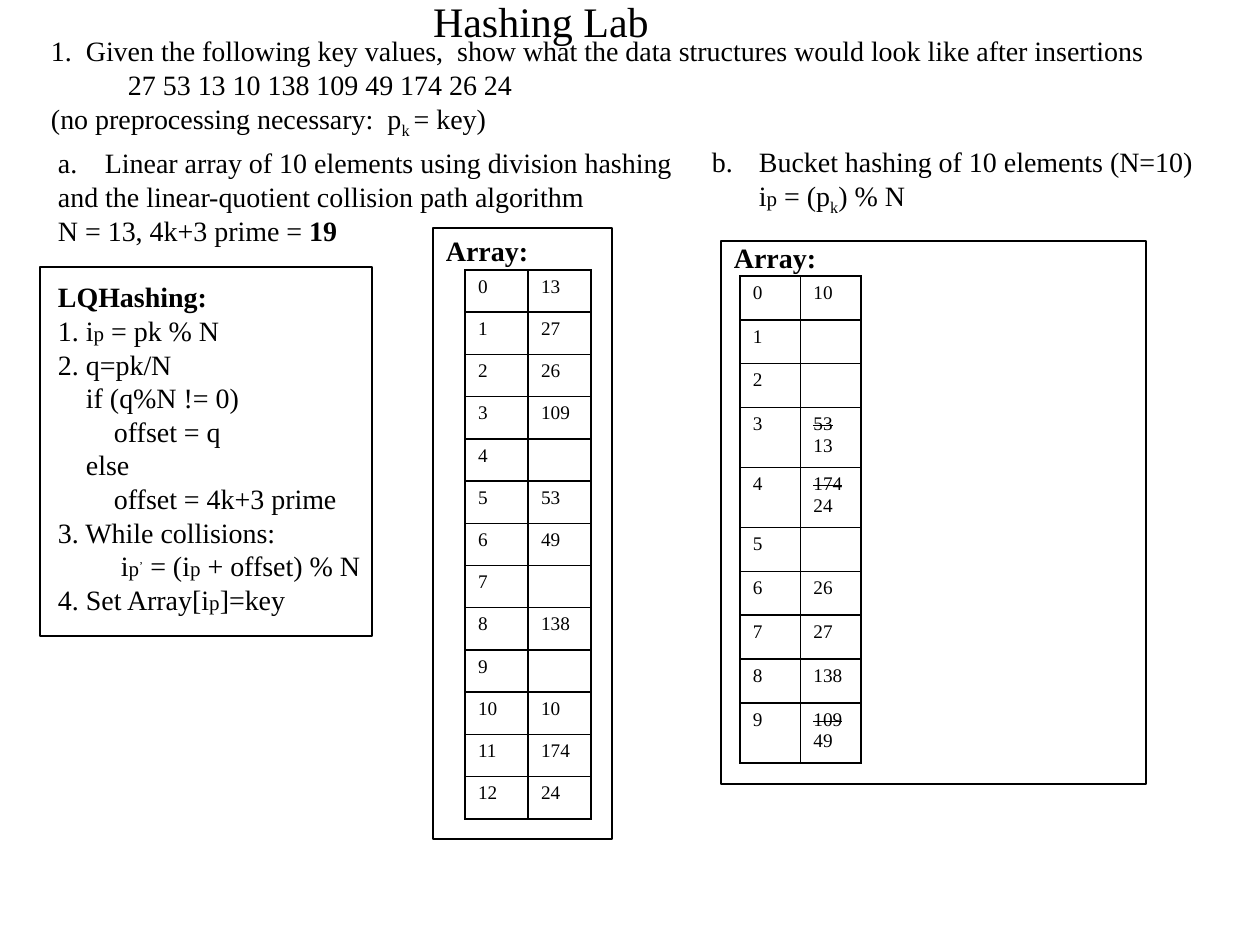
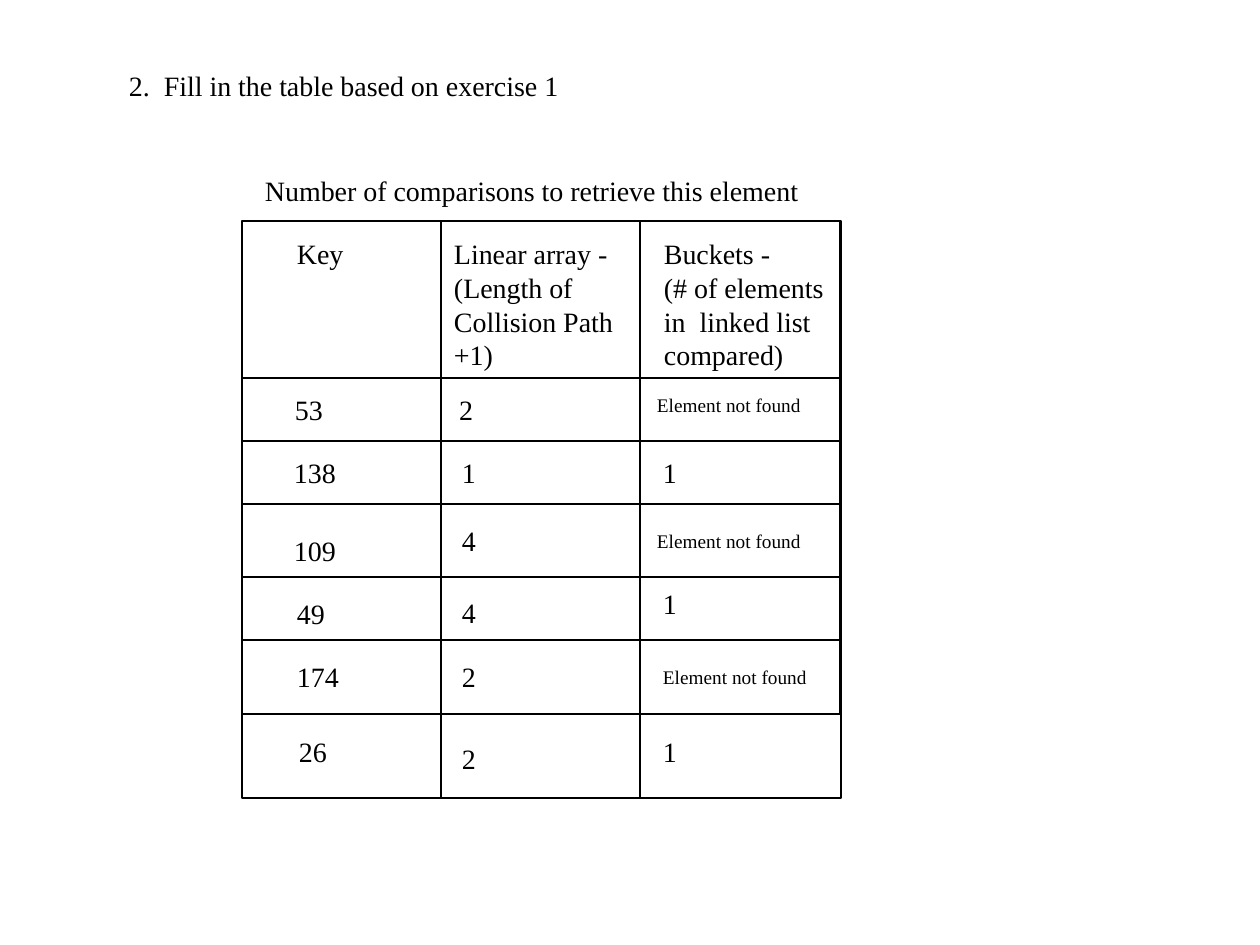
from lxml import etree
from pptx import Presentation
from pptx.dml.color import RGBColor
from pptx.enum import shapes, text
from pptx.oxml.ns import qn
from pptx.util import Emu, Pt

SCALE = 914400 / 126
INK = {"black": "000000", "white": "FFFFFF"}
BLACK, WHITE = (RGBColor.from_string(INK[name]) for name in ("black", "white"))
FONT = "Times New Roman"


def px(*sizes):
    return [Emu(round(size * SCALE)) for size in sizes]


def write(frame, lines, size=16, bold=False, num=0, gaps={}, top=6):
    frame.word_wrap = True
    frame.auto_size = text.MSO_AUTO_SIZE.NONE
    frame.vertical_anchor = text.MSO_ANCHOR.TOP
    frame.margin_left, frame.margin_right, frame.margin_top, frame.margin_bottom = px(13, 13, top, top)
    for i, line in enumerate(lines):
        indent, words = line if isinstance(line, tuple) else (0, line)
        para = frame.paragraphs[0] if i == 0 else frame.add_paragraph()
        para.alignment = text.PP_ALIGN.LEFT
        para.space_before = Pt(gaps.get(i, 0))
        props = para._p.get_or_add_pPr()
        listed = num and i == 0
        props.set("marL", str(px(47 if listed else indent)[0]))
        props.set("indent", str(px(-47 if listed else 0)[0]))
        if listed:
            etree.SubElement(props, qn("a:buAutoNum"), type="alphaLcPeriod", startAt=str(num))
        else:
            etree.SubElement(props, qn("a:buNone"))
        for j, part in enumerate(words.split("~")):
            style, part = (part[0], part[1:]) if j % 2 else ("", part)
            if not part:
                continue
            run = para.add_run()
            run.text = part
            run.font.name = FONT
            run.font.size = Pt(12 if style in ("s", "u") and style else size)
            run.font.bold = bold or style == "b"
            run.font.color.rgb = BLACK
            mark = run._r.get_or_add_rPr()
            if style == "k":
                mark.set("baseline", "-25000")
            if style == "u":
                mark.set("baseline", "30000")
            if style == "x":
                mark.set("strike", "sngStrike")
        if not words:
            etree.SubElement(para._p, qn("a:endParaRPr"), sz=str(size * 100))


def place(shape, *area):
    shape.left, shape.top, shape.width, shape.height = px(*area)
    return shape.text_frame


deck = Presentation()
deck.slide_width, deck.slide_height = px(1260, 945)

lab = deck.slides.add_slide(deck.slide_layouts[3])
write(place(lab.shapes.title, 420, -11, 243, 64), ["Hashing Lab"], size=24)
write(lab.shapes.add_textbox(*px(38, 28, 1150, 115)).text_frame, [
    "1.  Given the following key values,  show what the data structures would look like after insertions",
    (77, "27 53 13 10 138 109 49 174 26 24"),
    "(no preprocessing necessary:  p~kk ~= key)",
])
write(place(lab.placeholders[1], 45, 140, 649, 556), [
    "Linear array of 10 elements using division hashing",
    "and the linear-quotient collision path algorithm",
    "N = 13, 4k+3 prime = ~b19",
    "~bLQHashing:",
    "1. i~sp~ = pk % N",
    "2. q=pk/N",
    (28, "if (q%N != 0)"),
    (56, "offset = q"),
    (28, "else"),
    (56, "offset = 4k+3 prime"),
    "3. While collisions:",
    (63, "i~sp~~u’~ = (i~sp~ + offset) % N"),
    "4. Set Array[i~sp~]=key",
], num=1, gaps={3: 19})
write(place(lab.placeholders[2], 699, 139, 512, 183),
      ["Bucket hashing of 10 elements (N=10) i~sp~ = (p~kk~) % N"], num=2)

page = deck.slides.add_slide(deck.slide_layouts[5])
write(place(page.shapes.title, 116, 63, 457, 47), ["2.  Fill in the table based on exercise 1"])

for slide, area, label, top in [
    (lab, (40, 267, 332, 369), "", 6),
    (lab, (433, 228, 179, 611), "Array:", 6),
    (lab, (721, 241, 425, 543), "Array:", 0),
    (page, (242, 221, 599, 577), "", 6),
]:
    box = slide.shapes.add_shape(shapes.MSO_SHAPE.RECTANGLE, *px(*area))
    box.shadow.inherit = False
    box.line.color.rgb = BLACK
    box.line.width = Pt(0.75)
    if label:
        box.fill.solid()
        box.fill.fore_color.rgb = WHITE
        write(box.text_frame, [label], bold=True, top=top)
    else:
        box.fill.background()

linear = ["13", "27", "26", "109", "", "53", "49", "", "138", "", "10", "174", "24"]
bucket = ["10", "", "", "~x53~\n13", "~x174~\n24", "", "26", "27", "138", "~x109~\n49"]
single = (487 - 3 * 60) / 7
for left, top, col, values, row in [
    (465, 270, 63, linear, 549 / 13),
    (740, 276, 60.5, bucket, single),
]:
    high = [60 if "\n" in value else row for value in values]
    table = lab.shapes.add_table(len(values), 2, *px(left, top, 2 * col, sum(high))).table
    table.first_row = table.horz_banding = False
    for side in table.columns:
        side.width = px(col)[0]
    for i, value in enumerate(values):
        table.rows[i].height = px(high[i])[0]
        for cell, words in zip(table.rows[i].cells, (str(i), value)):
            write(cell.text_frame, words.split("\n"), size=11)
            cell.margin_left, cell.margin_right, cell.margin_top, cell.margin_bottom = px(13, 13, 6, 6)
            props = cell._tc.get_or_add_tcPr()
            for edge in ("lnL", "lnR", "lnT", "lnB"):
                line = etree.SubElement(props, qn("a:" + edge), w="12700")
                fill = etree.SubElement(line, qn("a:solidFill"))
                etree.SubElement(fill, qn("a:srgbClr"), val=INK["black"])
            cell.fill.background()

rules = [(x, 221, x, end) for x, end in ((441, 798), (640, 798), (840, 714))]
rules += [(242, y, 840, y) for y in (378, 441, 504, 577, 640, 714)]
for ends in rules:
    rule = page.shapes.add_connector(shapes.MSO_CONNECTOR.STRAIGHT, *px(*ends))
    rule.line.color.rgb = BLACK
    rule.line.width = Pt(0.75)
    etree.SubElement(rule._element.spPr, qn("a:effectLst"))

for area, lines in [
    ((252, 168, 567, 47), ["Number of comparisons to retrieve this element"]),
    ((284, 231, 90, 47), ["Key"]),
    ((441, 231, 220, 115), ["Linear array -", "(Length of", "Collision Path +1)"]),
    ((651, 231, 190, 149), ["Buckets -", "(# of elements", "in  linked list", "compared)"]),
]:
    write(page.shapes.add_textbox(*px(*area)).text_frame, lines)

MISS = "Element not found"
cells = [
    [(282, 387, "53"), (446, 387, "2"), (644, 387, MISS)],
    [(281, 450, "138"), (449, 450, "1"), (650, 450, "1")],
    [(281, 528, "109"), (449, 518, "4"), (644, 523, MISS)],
    [(284, 591, "49"), (449, 590, "4"), (650, 581, "1")],
    [(284, 654, "174"), (449, 654, "2"), (650, 659, MISS)],
    [(286, 728, "26"), (449, 736, "2"), (650, 728, "1")],
]
for row in cells:
    for (left, top, words), wide in zip(row, (150, 184, 184)):
        small = words == MISS
        box = page.shapes.add_textbox(*px(left, top, wide, 37 if small else 47))
        write(box.text_frame, [words], size=11 if small else 16)

deck.save("out.pptx")
